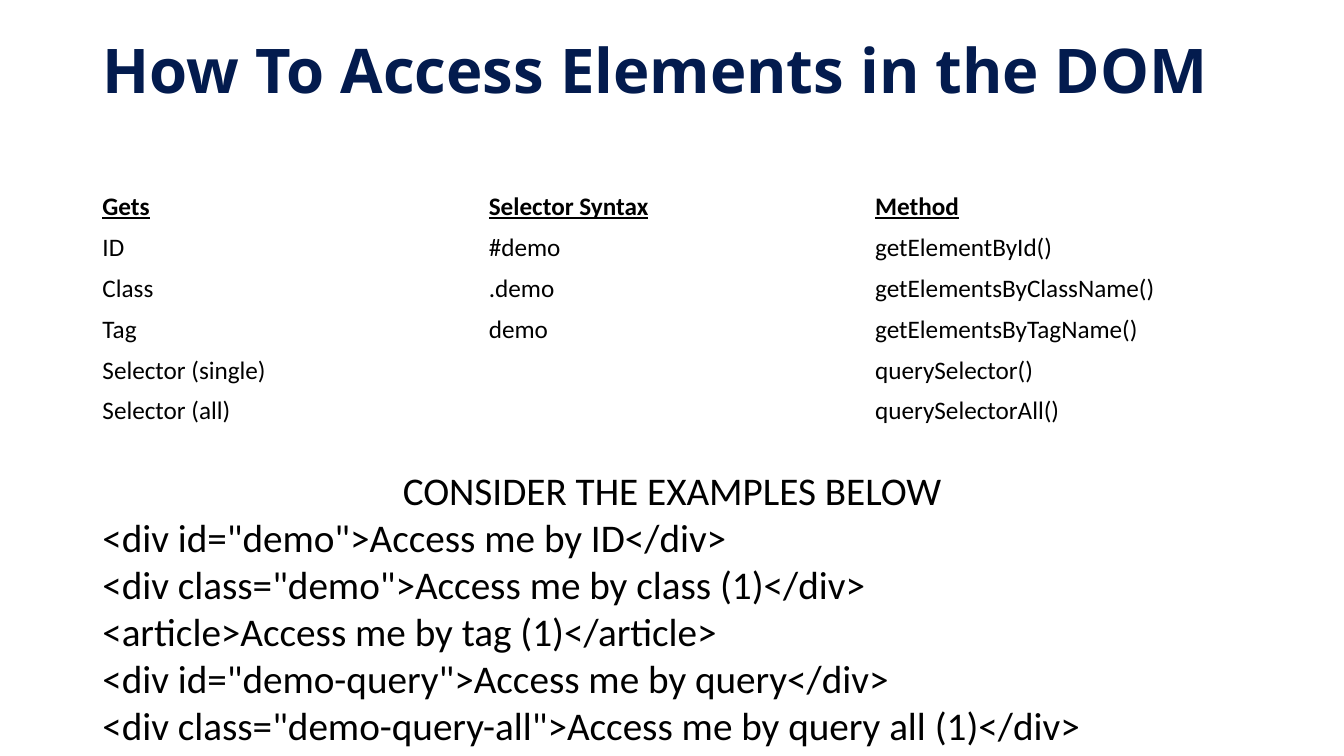
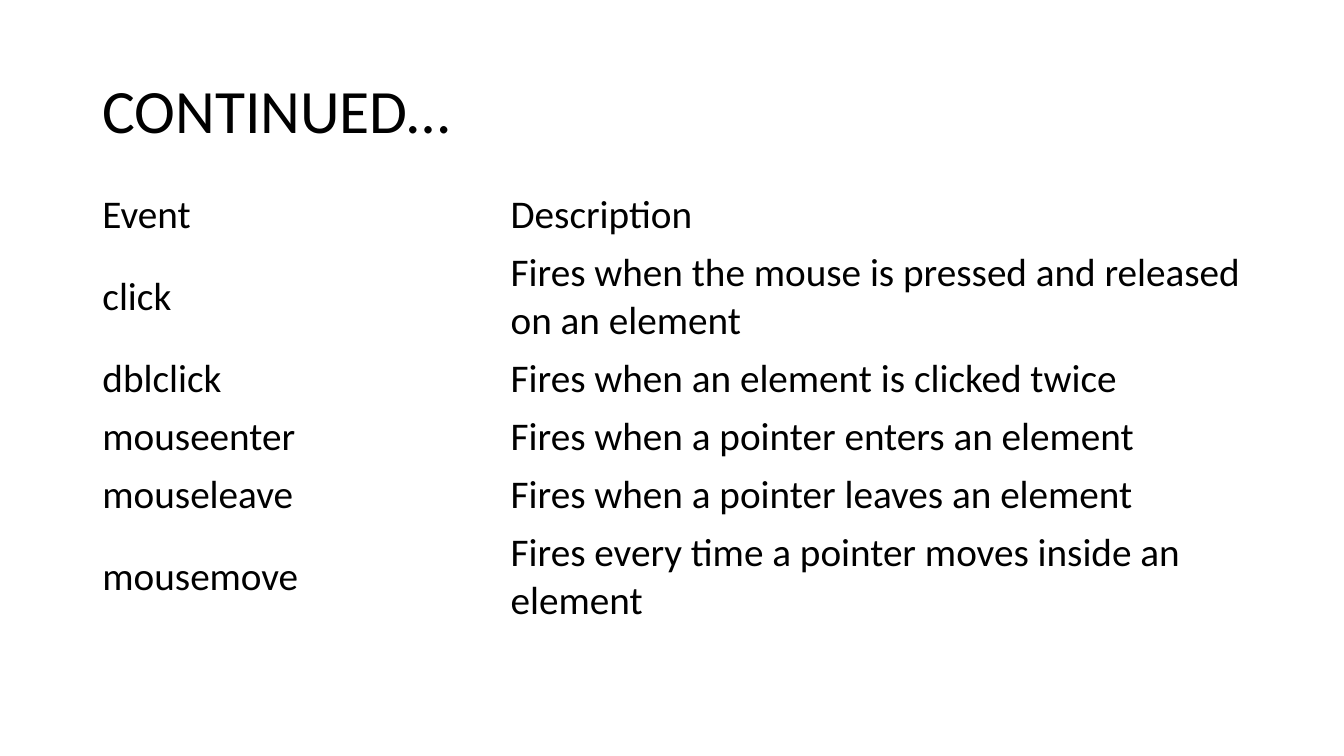
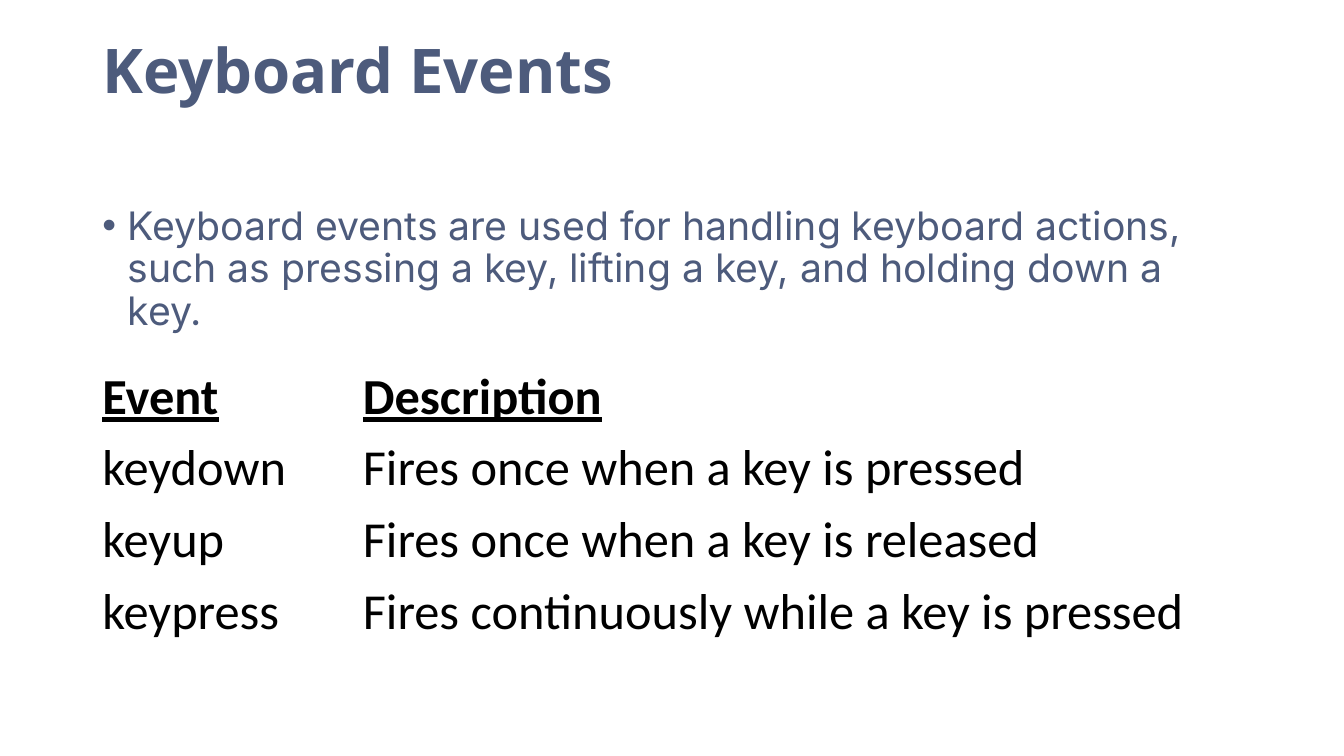
from collections import namedtuple

from lxml import etree
from pptx import Presentation
from pptx.dml.color import RGBColor
from pptx.enum.text import MSO_ANCHOR, MSO_AUTO_SIZE, PP_ALIGN
from pptx.oxml.ns import qn
from pptx.util import Pt

Box = namedtuple("Box", "left top width height")

TOP, MIDDLE = MSO_ANCHOR.TOP, MSO_ANCHOR.MIDDLE
LEFT, CENTER = PP_ALIGN.LEFT, PP_ALIGN.CENTER
NO_FIT = MSO_AUTO_SIZE.NONE

COLOURS = {"text": "000000", "navy": "031B4E", "slate": "4D5B7C"}
BODY_FONT, HEADING_FONT, LIST_FONT = "Calibri", "Open Sans", "Inter"
MARGIN, CONTENT_WIDTH = 66, 828
TITLE_BOX = Box(MARGIN, 28.8, CONTENT_WIDTH, 104.4)
TITLE_LAYOUT, LIST_LAYOUT = 5, 1


def place(shape, box):
    shape.left, shape.top = Pt(box.left), Pt(box.top)
    shape.width, shape.height = Pt(box.width), Pt(box.height)


def format_para(para, size, font=BODY_FONT, colour="text", heading=False, align=LEFT):
    para.alignment = align
    for span in para.runs:
        span.font.name = font
        span.font.size = Pt(size)
        span.font.color.rgb = RGBColor.from_string(COLOURS[colour])
        span.font.bold = heading
        span.font.underline = heading


def add_page(deck, layout, title, font=BODY_FONT, colour="text", raised=False):
    page = deck.slides.add_slide(deck.slide_layouts[layout])
    place(page.shapes.title, TITLE_BOX)
    frame = page.shapes.title.text_frame
    frame.text = title
    frame.auto_size = NO_FIT
    frame.vertical_anchor = TOP if raised else MIDDLE
    if raised:
        frame.margin_top = 0
    para = frame.paragraphs[0]
    para.line_spacing = 0.9
    format_para(para, 44, font, colour)
    para.runs[0].font.bold = raised
    return page


def add_grid(page, box, rows, widths, heights, size, heading=True):
    table = page.shapes.add_table(
        len(rows), len(widths), Pt(box.left), Pt(box.top), Pt(box.width), Pt(box.height)
    ).table
    table.first_row = table.horz_banding = False
    for column, width in zip(table.columns, widths):
        column.width = Pt(width)
    for index, (texts, height) in enumerate(zip(rows, heights)):
        table.rows[index].height = Pt(height)
        for cell, text in zip(table.rows[index].cells, texts):
            cell.fill.background()
            cell.vertical_anchor = MIDDLE
            cell.text_frame.text = text
            format_para(cell.text_frame.paragraphs[0], size, heading=heading and index == 0)


def add_examples(page, box, heading, lines):
    shape = page.shapes.add_textbox(0, 0, 0, 0)
    place(shape, box)
    frame = shape.text_frame
    frame.word_wrap = True
    frame.text = "\n".join([heading, *lines])
    for index, para in enumerate(frame.paragraphs):
        format_para(para, 28, align=LEFT if index else CENTER)


def add_bullet(page, box, text):
    body = page.placeholders[1]
    place(body, box)
    frame = body.text_frame
    frame.text = text
    frame.auto_size = NO_FIT
    para = frame.paragraphs[0]
    para.line_spacing = 0.9
    para.space_before = Pt(10)
    format_para(para, 28, LIST_FONT, "slate")
    properties = para._p.get_or_add_pPr()
    properties.set("marL", str(Pt(18)))
    properties.set("indent", str(Pt(-18)))
    etree.SubElement(properties, qn("a:buFont")).set("typeface", "Arial")
    etree.SubElement(properties, qn("a:buChar")).set("char", "•")


def build_access_page(deck):
    page = add_page(
        deck, TITLE_LAYOUT, "How To Access Elements in the DOM", HEADING_FONT, "navy", True
    )
    rows = [
        ("Gets", "Selector Syntax", "Method"),
        ("ID", "#demo", "getElementById()"),
        ("Class", ".demo", "getElementsByClassName()"),
        ("Tag", "demo", "getElementsByTagName()"),
        ("Selector (single)", "", "querySelector()"),
        ("Selector (all)", "", "querySelectorAll()"),
    ]
    box = Box(MARGIN, 133.2, CONTENT_WIDTH, 172.8)
    add_grid(page, box, rows, [box.width / 3] * 3, [box.height / len(rows)] * len(rows), 18)
    add_examples(
        page,
        Box(MARGIN, 329.5, CONTENT_WIDTH, 211),
        "CONSIDER THE EXAMPLES BELOW",
        [
            '<div id="demo">Access me by ID</div>',
            '<div class="demo">Access me by class (1)</div>',
            "<article>Access me by tag (1)</article>",
            '<div id="demo-query">Access me by query</div>',
            '<div class="demo-query-all">Access me by query all (1)</div>',
        ],
    )


def build_mouse_page(deck):
    page = add_page(deck, TITLE_LAYOUT, "CONTINUED…")
    rows = [
        ("Event", "Description"),
        ("click", "Fires when the mouse is pressed and released on an element"),
        ("dblclick", "Fires when an element is clicked twice"),
        ("mouseenter", "Fires when a pointer enters an element"),
        ("mouseleave", "Fires when a pointer leaves an element"),
        ("mousemove", "Fires every time a pointer moves inside an element"),
    ]
    single, double = 41, 73
    heights = [single, double, single, single, single, double]
    box = Box(MARGIN, 133.2, CONTENT_WIDTH, sum(heights))
    add_grid(page, box, rows, [291.6, box.width - 291.6], heights, 28, heading=False)


def build_keyboard_page(deck):
    page = add_page(deck, LIST_LAYOUT, "Keyboard Events", HEADING_FONT, "slate", True)
    add_bullet(
        page,
        Box(MARGIN, 144, CONTENT_WIDTH, 342.7),
        "Keyboard events are used for handling keyboard actions, such as pressing a key, "
        "lifting a key, and holding down a key.",
    )
    rows = [
        ("Event", "Description"),
        ("keydown", "Fires once when a key is pressed"),
        ("keyup", "Fires once when a key is released"),
        ("keypress", "Fires continuously while a key is pressed"),
    ]
    box = Box(MARGIN, 257.8, CONTENT_WIDTH, 201.6)
    heights = [box.height / len(rows)] * len(rows)
    add_grid(page, box, rows, [186, box.width - 186], heights, 36)


deck = Presentation()
deck.slide_width, deck.slide_height = Pt(960), Pt(540)
build_access_page(deck)
build_mouse_page(deck)
build_keyboard_page(deck)
deck.save("out.pptx")
